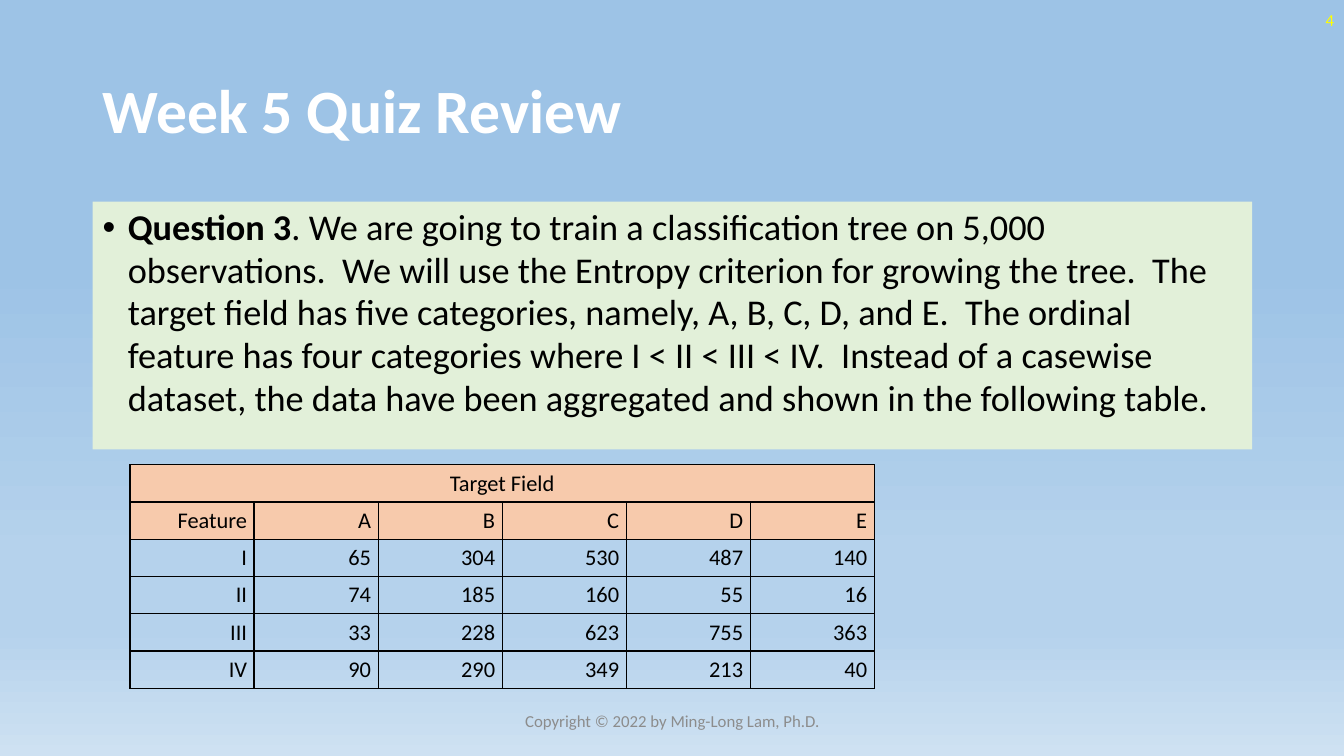
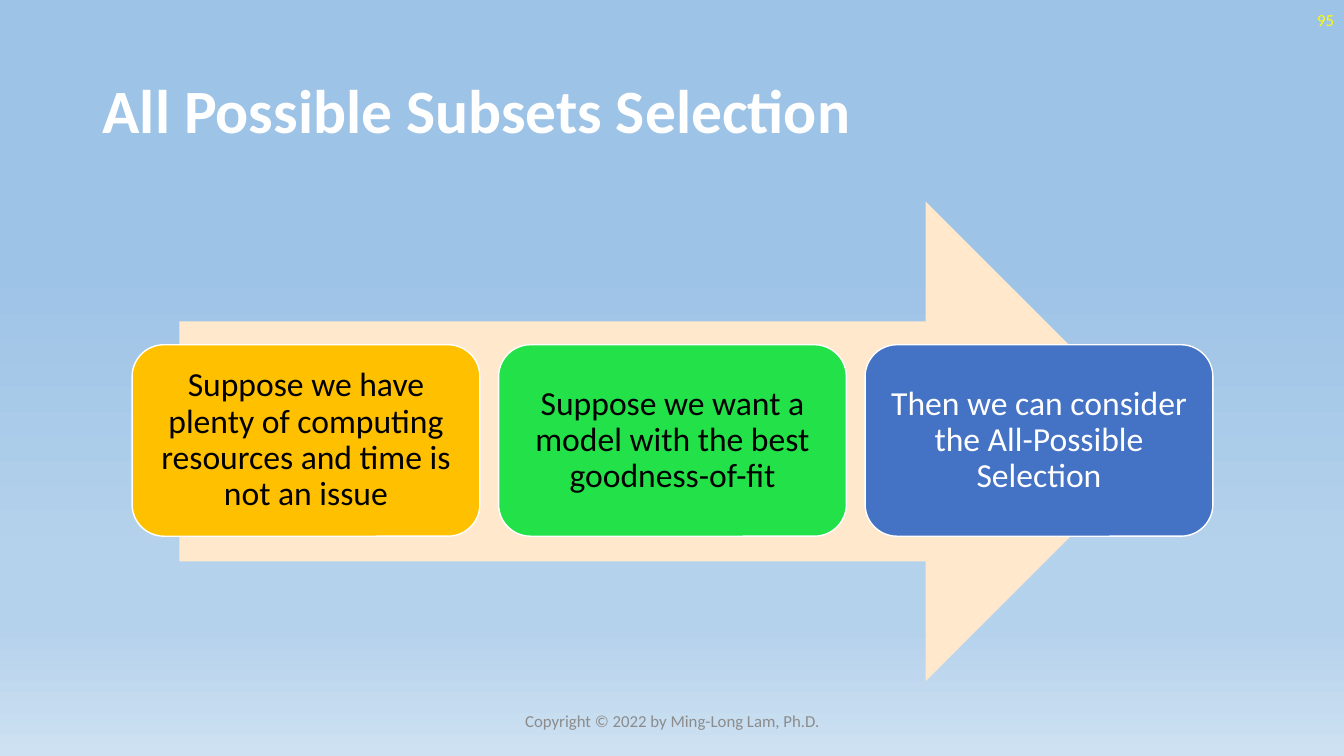
import pptx
import pptx.util
import pptx.oxml
import pptx.oxml.ns
import pptx.dml.color
import pptx.enum.shapes
import pptx.enum.text

Inches, Pt = pptx.util.Inches, pptx.util.Pt
RGBColor = pptx.dml.color.RGBColor
SHAPE = pptx.enum.shapes.MSO_SHAPE
ALIGN = pptx.enum.text.PP_ALIGN
MIDDLE = pptx.enum.text.MSO_ANCHOR.MIDDLE

FONT = "Calibri"
WHITE = RGBColor(0xFF, 0xFF, 0xFF)
BLACK = RGBColor(0x00, 0x00, 0x00)
YELLOW = RGBColor(0xFF, 0xFF, 0x00)
GRAY = RGBColor(0x8C, 0x8C, 0x8C)
MINT = RGBColor(0xE2, 0xF0, 0xD9)
PEACH = RGBColor(0xF7, 0xCA, 0xAC)
CREAM = RGBColor(0xFF, 0xE8, 0xCC)
GOLD = RGBColor(0xFF, 0xC0, 0x00)
GREEN = RGBColor(0x23, 0xE1, 0x48)
BLUE = RGBColor(0x44, 0x72, 0xC4)
SKY = [(35, "9DC3E6"), (74, "B5D2EC"), (83, "B5D2EC"), (100, "CEE1F2")]
NS = pptx.oxml.ns.nsdecls("a")


def style(para, size, color, align=ALIGN.LEFT, bold=False):
    para.alignment = align
    font = para.font
    font.name, font.size, font.bold = FONT, Pt(size), bold
    font.color.rgb = color


def add_form(slide, kind, box, fill, line=None):
    form = slide.shapes.add_shape(kind, *map(Inches, box))
    form.shadow.inherit = False
    form.fill.solid()
    form.fill.fore_color.rgb = fill
    if line is None:
        form.line.fill.background()
    else:
        form.line.color.rgb = line
        form.line.width = Pt(1)
    form.text_frame.word_wrap = True
    return form


deck = pptx.Presentation()
deck.slide_width, deck.slide_height = Inches(13.33), Inches(7.5)

# Shared background on the master
back = deck.slide_master.background.fill
back.gradient()
back.gradient_angle = 270
stops = back.gradient_stops[0]._gs.getparent()
for stop in list(stops):
    stops.remove(stop)
for place, shade in SKY:
    stops.append(pptx.oxml.parse_xml(
        f'<a:gs {NS} pos="{place * 1000}"><a:srgbClr val="{shade}"/></a:gs>'))

# Title, number and footer of each slide
slides = []
for title, number in [("Week 5 Quiz Review", "4"),
                      ("All Possible Subsets Selection", "95")]:
    slide = deck.slides.add_slide(deck.slide_layouts[6])
    slides.append(slide)
    for text, box, size, color, align, bold in [
        (title, (0.92, 0.4, 11.5, 1.45), 44, WHITE, ALIGN.LEFT, True),
        (number, (10.33, 0, 3, 0.4), 12, YELLOW, ALIGN.RIGHT, False),
        ("Copyright © 2022 by Ming-Long Lam, Ph.D.",
         (4.42, 6.95, 4.5, 0.4), 12, GRAY, ALIGN.CENTER, False),
    ]:
        frame = slide.shapes.add_textbox(*map(Inches, box)).text_frame
        frame.word_wrap = True
        frame.vertical_anchor = MIDDLE
        para = frame.paragraphs[0]
        para.text = text
        style(para, size, color, align, bold)
        if bold:
            para.line_spacing = 0.9

quiz, subsets = slides

# Quiz question
panel = add_form(quiz, SHAPE.RECTANGLE, (0.92, 2, 11.5, 2.46), MINT)
panel.text_frame.vertical_anchor = pptx.enum.text.MSO_ANCHOR.TOP
para = panel.text_frame.paragraphs[0]
para.line_spacing = 0.98
props = para._p.get_or_add_pPr()
props.set("marL", str(Inches(0.25)))
props.set("indent", str(-Inches(0.25)))
props.append(pptx.oxml.parse_xml(f'<a:buFont {NS} typeface="Arial"/>'))
props.append(pptx.oxml.parse_xml(f'<a:buChar {NS} char="•"/>'))
style(para, 25.9, BLACK)
lead = para.add_run()
lead.text = "Question 3"
lead.font.bold = True
para.add_run().text = (
    ". We are going to train a classification tree on 5,000 observations.  "
    "We will use the Entropy criterion for growing the tree.  The target "
    "field has five categories, namely, A, B, C, D, and E.  The ordinal "
    "feature has four categories where I < II < III < IV.  Instead of a "
    "casewise dataset, the data have been aggregated and shown in the "
    "following table.")

# Table of counts
rows = [
    ["Target Field", "", "", "", "", ""],
    ["Feature", "A", "B", "C", "D", "E"],
    ["I", "65", "304", "530", "487", "140"],
    ["II", "74", "185", "160", "55", "16"],
    ["III", "33", "228", "623", "755", "363"],
    ["IV", "90", "290", "349", "213", "40"],
]
table = quiz.shapes.add_table(len(rows), 6, Inches(1.29), Inches(4.61),
                              Inches(1.23 * 6), Inches(0.37 * 6)).table
table.first_row = table.horz_banding = False
for r, row in enumerate(rows):
    for c, text in enumerate(row):
        cell = table.cell(r, c)
        cell.margin_left = cell.margin_right = Inches(0.07)
        para = cell.text_frame.paragraphs[0]
        para.text = text
        style(para, 16, BLACK, ALIGN.RIGHT if r else ALIGN.CENTER)
        for side in "LRTB":
            cell._tc.get_or_add_tcPr().append(pptx.oxml.parse_xml(
                f'<a:ln{side} {NS} w="{Pt(1)}"><a:solidFill>'
                f'<a:srgbClr val="{BLACK}"/></a:solidFill></a:ln{side}>'))
        if r < 2:
            cell.fill.solid()
            cell.fill.fore_color.rgb = PEACH
        else:
            cell.fill.background()
table.cell(0, 0).merge(table.cell(0, 5))

# Arrow with three steps
add_form(subsets, SHAPE.RIGHT_ARROW, (1.78, 2, 9.78, 4.76), CREAM)
steps = [
    ("Suppose we have plenty of computing resources and time is not an issue",
     GOLD, BLACK),
    ("Suppose we want a model with the best goodness-of-fit", GREEN, BLACK),
    ("Then we can consider the All-Possible Selection", BLUE, WHITE),
]
wide, gap = 3.45, 0.185
for i, (text, fill, color) in enumerate(steps):
    box = (1.31 + i * (wide + gap), 3.42, wide, 1.9)
    frame = add_form(subsets, SHAPE.ROUNDED_RECTANGLE, box, fill,
                     WHITE).text_frame
    frame.vertical_anchor = MIDDLE
    frame.margin_top = frame.margin_bottom = Inches(0.1)
    para = frame.paragraphs[0]
    para.text = text
    para.line_spacing = 0.9
    style(para, 24, color, ALIGN.CENTER)

deck.save("out.pptx")
